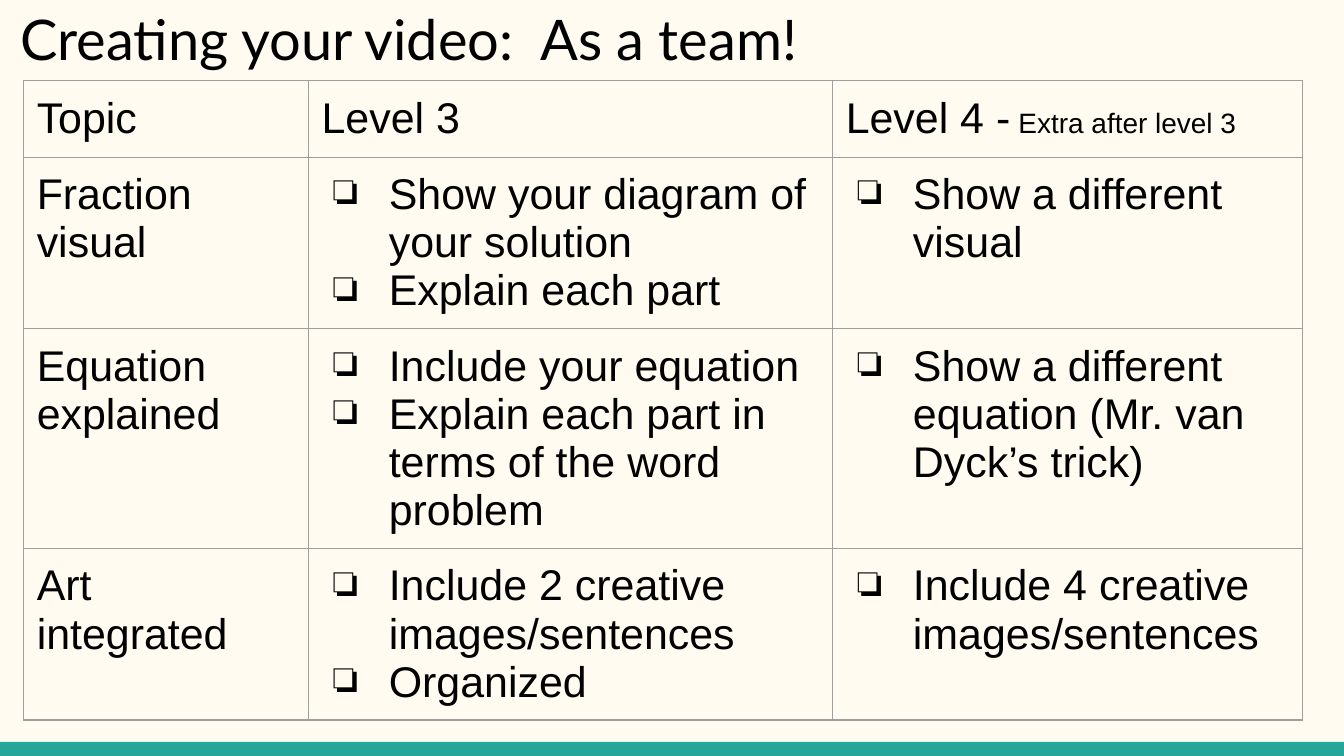
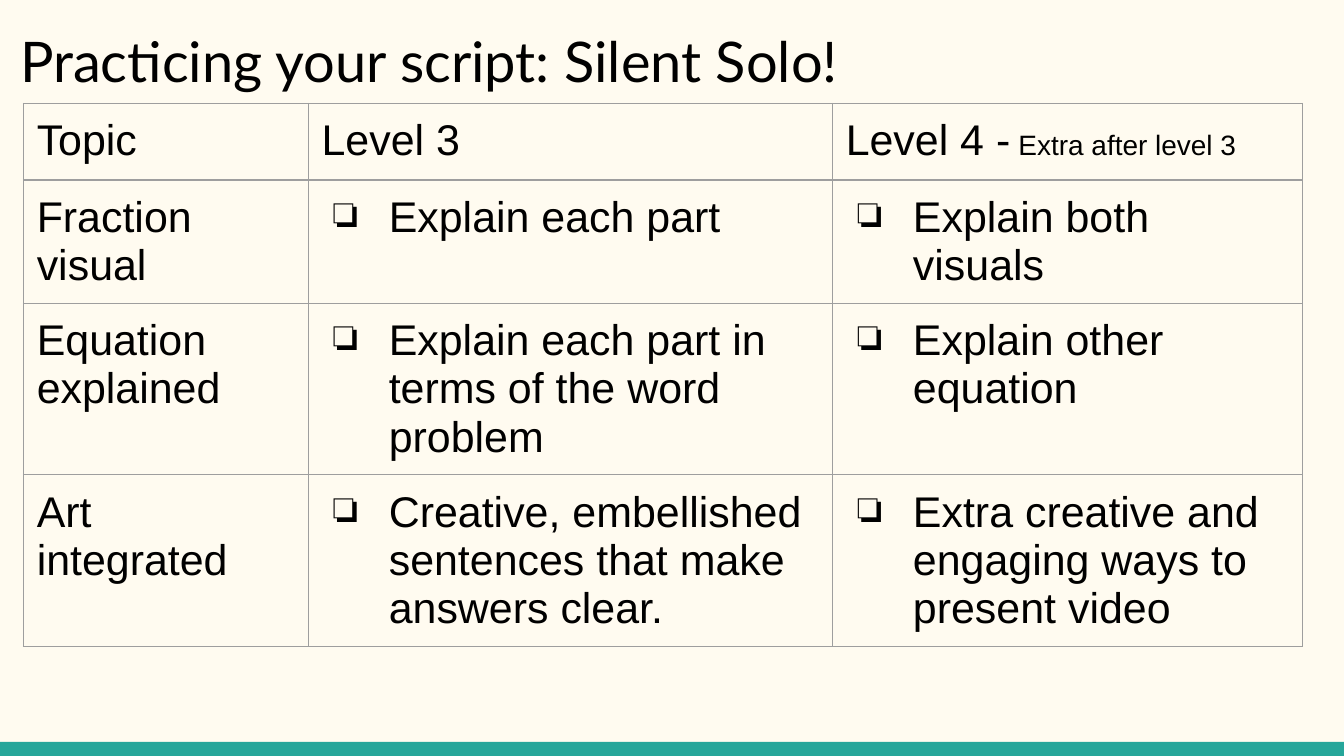
from lxml.etree import SubElement
from pptx import Presentation
from pptx.dml.color import RGBColor
from pptx.enum.shapes import MSO_SHAPE
from pptx.enum.text import MSO_ANCHOR, MSO_AUTO_SIZE, PP_ALIGN
from pptx.oxml.ns import qn
from pptx.util import Pt

HUES = {"paper": "FFFBF0", "band": "26A69A", "ink": "000000", "rule": "9E9E9E"}
WIDE, HIGH = 720, 405
PAD = 7.2
COLS = [152.6, 280.8, 252]
ROWS = [41, 39.6, 64.8, 39.6]
HEADS = ["Topic", "Level 3", "Level 4 -"]
EXTRA = " Extra after level 3"
TOPICS = ["Fraction visual", "Equation explained", "Art integrated"]
PLAIN = "{2D5ABB26-0587-4C30-8999-92F81FD0307C}"

TEAM = [
    (["Show your diagram of your solution", "Explain each part"],
     ["Show a different visual"]),
    (["Include your equation",
      "Explain each part in terms of the word problem"],
     ["Show a different equation (Mr. van Dyck’s trick)"]),
    (["Include 2 creative images/sentences", "Organized"],
     ["Include 4 creative images/sentences"]),
]
SOLO = [
    (["Explain each part"], ["Explain both visuals"]),
    (["Explain each part in terms of the word problem"],
     ["Explain other equation"]),
    (["Creative, embellished sentences that make answers clear."],
     ["Extra creative and engaging ways to present video"]),
]


def hue(name):
    return RGBColor.from_string(HUES[name])


def style(run, size, face="Arial"):
    run.font.size = Pt(size)
    run.font.name = face
    run.font.color.rgb = hue("ink")


def inset(item):
    item.margin_left = item.margin_right = Pt(PAD)
    item.margin_top = item.margin_bottom = Pt(PAD)


def paint(node, name):
    SubElement(node, qn("a:srgbClr"), val=HUES[name])


def border(cell):
    cell.fill.background()
    props = cell._tc.get_or_add_tcPr()
    for spot, side in enumerate(["lnL", "lnR", "lnT", "lnB"]):
        line = SubElement(props, qn(f"a:{side}"), w=str(Pt(0.75)))
        paint(SubElement(line, qn("a:solidFill")), "rule")
        props.insert(spot, line)


def bullet(para):
    props = para._p.get_or_add_pPr()
    props.set("marL", str(Pt(36)))
    props.set("indent", str(Pt(-29.5)))
    paint(SubElement(props, qn("a:buClr")), "ink")
    SubElement(props, qn("a:buChar"), char="❏")


def fill(cell, lines, check):
    inset(cell)
    border(cell)
    cell.text_frame.text = "\n".join(lines)
    for para in cell.text_frame.paragraphs:
        if check:
            bullet(para)
        for run in para.runs:
            style(run, 23)


def master(deck, slide):
    base = deck.slide_master
    base.background.fill.solid()
    base.background.fill.fore_color.rgb = hue("paper")
    band = slide.shapes.add_shape(
        MSO_SHAPE.RECTANGLE, 0, Pt(HIGH - 7.5), Pt(WIDE), Pt(7.5))
    band.shadow.inherit = False
    band.fill.solid()
    band.fill.fore_color.rgb = hue("band")
    band.line.fill.background()
    base.shapes.element.append(band.element)


def title(slide, text, left, top, width, height):
    head = slide.shapes.title
    head.left, head.top = Pt(left), Pt(top)
    head.width, head.height = Pt(width), Pt(height)
    frame = head.text_frame
    frame.text = text
    frame.word_wrap = True
    frame.auto_size = MSO_AUTO_SIZE.NONE
    frame.vertical_anchor = MSO_ANCHOR.TOP
    inset(frame)
    para = frame.paragraphs[0]
    para.alignment = PP_ALIGN.LEFT
    style(para.runs[0], 30, "Lato")


def grid(slide, tasks, left, top):
    frame = slide.shapes.add_table(
        len(ROWS), len(COLS), Pt(left), Pt(top), Pt(sum(COLS)), Pt(sum(ROWS)))
    frame.element.find(".//" + qn("a:tableStyleId")).text = PLAIN
    table = frame.table
    table.first_row = table.horz_banding = False
    for col, width in zip(table.columns, COLS):
        col.width = Pt(width)
    for row, height in zip(table.rows, ROWS):
        row.height = Pt(height)
    for x, text in enumerate(HEADS):
        fill(table.cell(0, x), [text], False)
    note = table.cell(0, 2).text_frame.paragraphs[0].add_run()
    note.text = EXTRA
    style(note, 15)
    for y, (topic, parts) in enumerate(zip(TOPICS, tasks), 1):
        for x, lines in enumerate([[topic], *parts]):
            fill(table.cell(y, x), lines, x > 0)
    table.cell(1, 1).margin_right = Pt(5)


def page(slide, text, tasks, top):
    title(slide, text, 3.6, top, 712.8, 48.2)
    grid(slide, tasks, 12.5, top + 48.2)


def main():
    deck = Presentation()
    deck.slide_width, deck.slide_height = Pt(WIDE), Pt(HIGH)
    first, second = [
        deck.slides.add_slide(deck.slide_layouts[5]) for _ in range(2)]
    master(deck, first)
    page(first, "Creating your video:  As a team!", TEAM, -5)
    page(second, "Practicing your script: Silent Solo!", SOLO, 7.2)
    deck.save("out.pptx")


if __name__ == "__main__":
    main()
